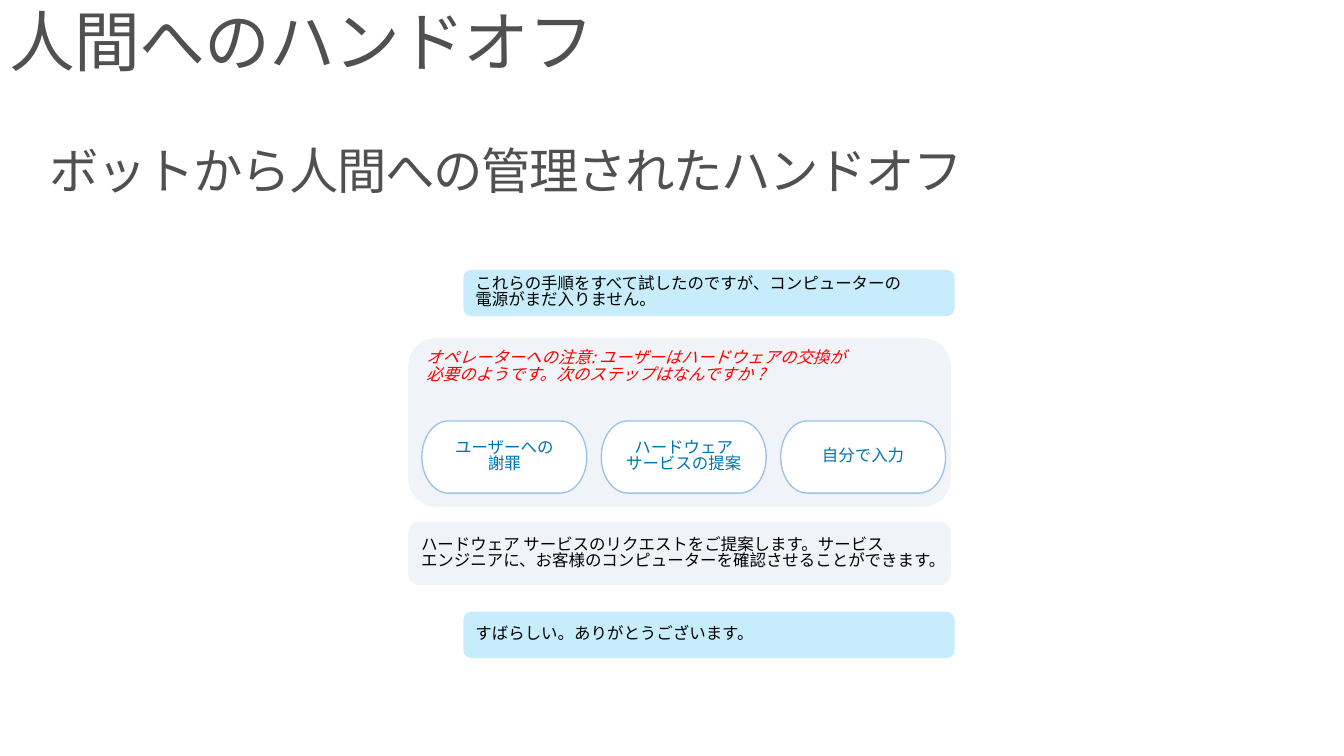
from lxml.etree import SubElement
from pptx import Presentation
from pptx.dml.color import RGBColor
from pptx.enum.shapes import MSO_SHAPE as Preset
from pptx.enum.text import MSO_ANCHOR as Anchor, PP_ALIGN as Align
from pptx.oxml.ns import qn
from pptx.util import Pt

FONT = "Noto Sans CJK JP"
GRAY = RGBColor(0x50, 0x50, 0x50)
BLACK = RGBColor(0, 0, 0)
RED = RGBColor(0xFF, 0, 0)
BLUE = RGBColor(0, 0x74, 0xAF)
BORDER = RGBColor(0x9D, 0xC3, 0xE6)
WHITE = RGBColor(0xFF, 0xFF, 0xFF)
USER_FILL = RGBColor(0xC7, 0xED, 0xFC)
BOT_FILL = RGBColor(0xF0, 0xF4, 0xF8)

HEADINGS = [
    (["人間へのハンドオフ"], (0, 5, 936, 72), 48, 7.2, -70),
    (["ボットから人間への管理されたハンドオフ"], (24.5, 103.7, 758.9, 203.8), 36, 11.5, -100),
]
USER_MESSAGES = [
    (196.6, ["これらの手順をすべて試したのですが、コンピューターの", "電源がまだ入りません。"]),
    (445.7, ["すばらしい。ありがとうございます。"]),
]
BOT_MESSAGE = ["ハードウェア サービスのリクエストをご提案します。サービス",
               "エンジニアに、お客様のコンピューターを確認させることができます。"]
OPERATOR_NOTE = ["オペレーターへの注意: ユーザーはハードウェアの交換が",
                 "必要のようです。次のステップはなんですか ?"]
CHOICES = [["ユーザーへの", "謝罪"], ["ハードウェア サービスの提案"], ["自分で入力"]]

USER_LEFT, USER_WIDTH, USER_HEIGHT = 337.7, 357.8, 33.8
BOT_LEFT, BOT_WIDTH = 297.4, 395.3
CHOICE_LEFT, CHOICE_TOP, CHOICE_STEP = 307.4, 306.7, 130.7
CHOICE_WIDTH, CHOICE_HEIGHT = 120.2, 52.6


def write(shape, lines, size, color, spacing, align=Align.LEFT, italic=None, tracking=0):
    para = shape.text_frame.paragraphs[0]
    para.alignment = align
    para.line_spacing = spacing
    style = {"name": FONT, "size": Pt(size), "italic": italic}
    for index, line in enumerate(lines):
        if index:
            para.add_line_break()
            SubElement(para._p[-1], qn("a:rPr"), sz=str(size * 100))
        span = para.add_run()
        span.text = line
        for key, value in style.items():
            setattr(span.font, key, value)
        span.font.color.rgb = color
        properties = span._r.get_or_add_rPr()
        SubElement(properties, qn("a:ea"), typeface=FONT)
        if tracking:
            properties.set("spc", str(tracking))


def add_bubble(preset, frame, fill, lines, color, border=None, anchor=Anchor.MIDDLE,
               align=Align.LEFT, italic=None):
    bubble = page.shapes.add_shape(preset, *map(Pt, frame))
    bubble.shadow.inherit = False
    bubble.fill.solid()
    bubble.fill.fore_color.rgb = fill
    if border is None:
        bubble.line.fill.background()
    else:
        bubble.line.color.rgb = border
        bubble.line.width = Pt(1)
    bubble.text_frame.word_wrap = True
    bubble.text_frame.vertical_anchor = anchor
    write(bubble, lines, 12, color, 0.82, align, italic)


deck = Presentation()
deck.slide_width, deck.slide_height = Pt(979.2), Pt(550.8)
page = deck.slides.add_slide(deck.slide_layouts[6])

for lines, frame, size, side, tracking in HEADINGS:
    box = page.shapes.add_textbox(*map(Pt, frame))
    margins = {"margin_left": side, "margin_right": side, "margin_top": 7.2, "margin_bottom": 7.2}
    for key, value in margins.items():
        setattr(box.text_frame, key, Pt(value))
    box.text_frame.word_wrap = True
    write(box, lines, size, GRAY, 0.79, tracking=tracking)

for top, lines in USER_MESSAGES:
    add_bubble(Preset.ROUNDED_RECTANGLE, (USER_LEFT, top, USER_WIDTH, USER_HEIGHT),
               USER_FILL, lines, BLACK)

add_bubble(Preset.ROUNDED_RECTANGLE, (BOT_LEFT, 380.2, BOT_WIDTH, 46.1),
           BOT_FILL, BOT_MESSAGE, BLACK)
add_bubble(Preset.ROUNDED_RECTANGLE, (BOT_LEFT, 246.2, BOT_WIDTH, 123.1),
           BOT_FILL, OPERATOR_NOTE, RED, anchor=Anchor.TOP, italic=True)

for column, lines in enumerate(CHOICES):
    left = CHOICE_LEFT + column * CHOICE_STEP
    add_bubble(Preset.FLOWCHART_TERMINATOR, (left, CHOICE_TOP, CHOICE_WIDTH, CHOICE_HEIGHT),
               WHITE, lines, BLUE, border=BORDER, align=Align.CENTER)

deck.save("out.pptx")
